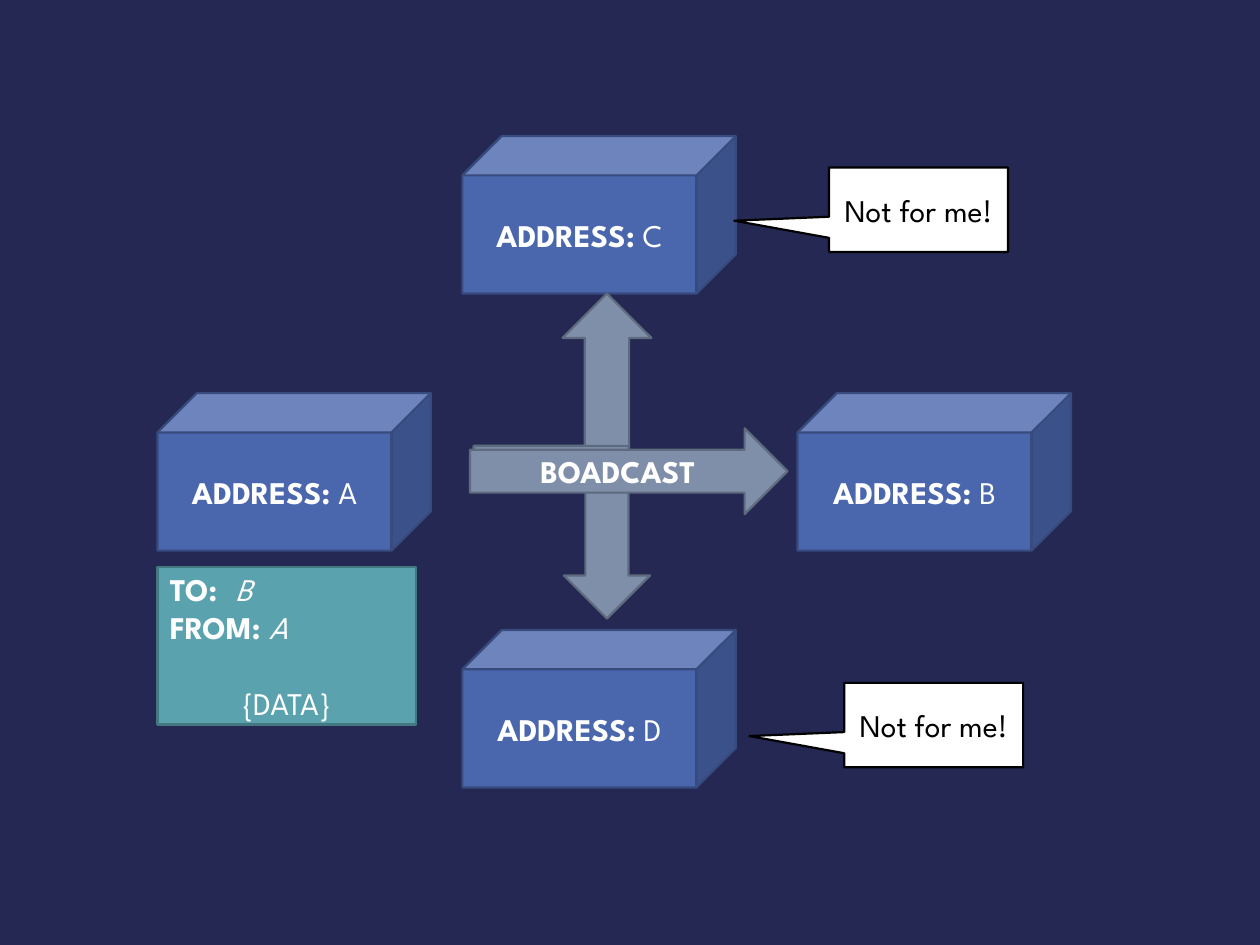
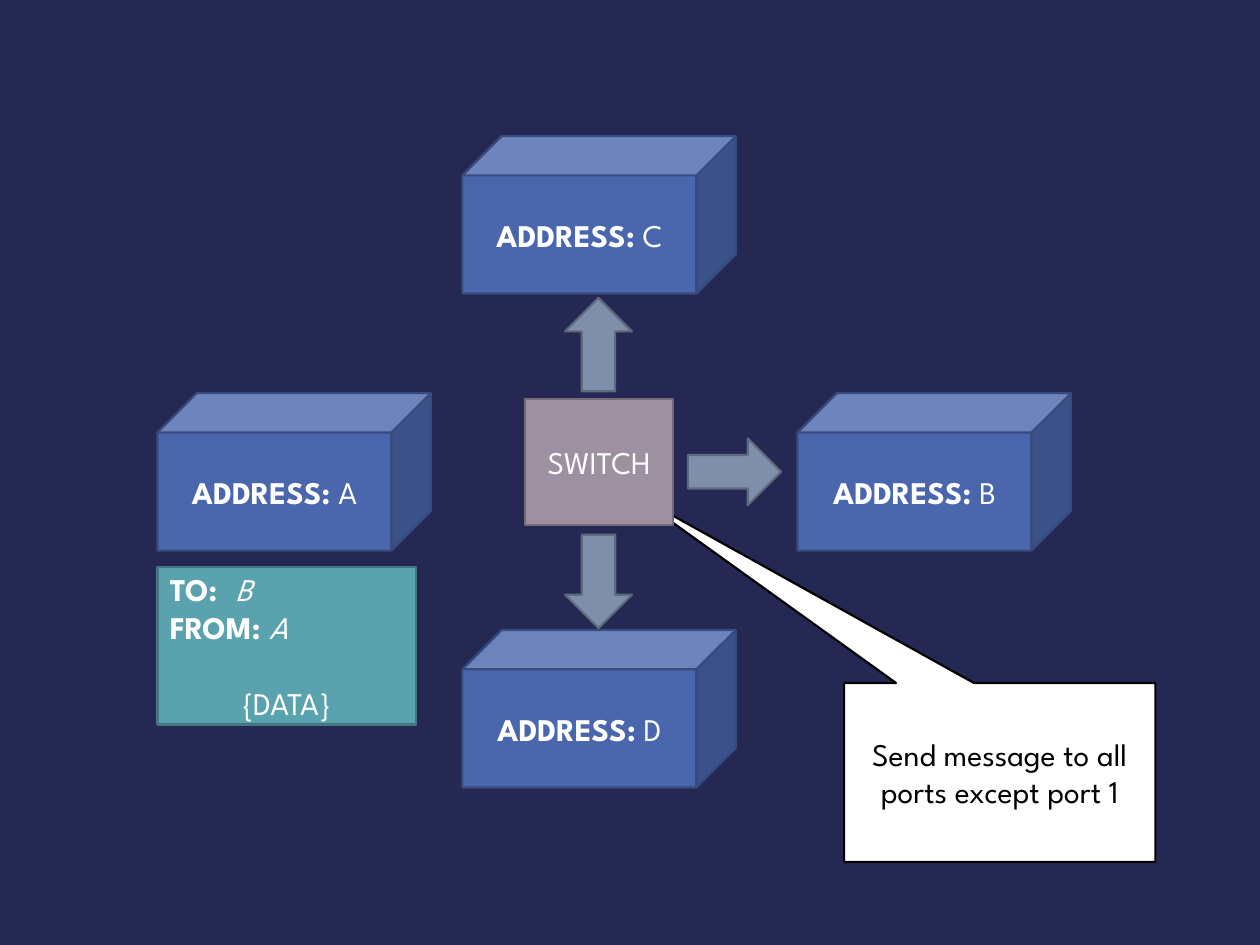
from lxml import etree
from pptx import Presentation
from pptx.dml.color import RGBColor
from pptx.enum.shapes import MSO_SHAPE as SHAPE
from pptx.enum.text import MSO_ANCHOR as ANCHOR, PP_ALIGN as ALIGN
from pptx.oxml.ns import qn
from pptx.util import Inches, Pt

FONT = "League Spartan"
COLORS = {
    "background": "242852",
    "white": "FFFFFF",
    "black": "000000",
    "host": "4A66AC", "host_edge": "374B7F",
    "arrow": "7F8FA9", "arrow_edge": "5E6A7D",
    "message": "5AA2AE", "message_edge": "437881",
    "switch": "9D90A0", "switch_edge": "746B76",
}
HOSTS = {"A": (1.25, 3.12), "B": (6.33, 3.12), "D": (3.67, 5), "C": (3.67, 1.08)}


def rgb(name):
    return RGBColor.from_string(COLORS[name])


class NetworkDeck:
    """Draws the parts of a small network on the current slide."""

    def __init__(self):
        self.deck = Presentation()
        self.deck.slide_width = Inches(10)
        self.deck.slide_height = Inches(7.5)
        self.slide = None

    def new_slide(self):
        self.slide = self.deck.slides.add_slide(self.deck.slide_layouts[6])
        fill = self.slide.background.fill
        fill.solid()
        fill.fore_color.rgb = rgb("background")

    def block(self, kind, box, fill, edge):
        shape = self.slide.shapes.add_shape(kind, *map(Inches, box))
        shape.shadow.inherit = False
        shape.fill.solid()
        shape.fill.fore_color.rgb = rgb(fill)
        shape.line.color.rgb = rgb(edge)
        shape.line.width = Pt(1.25)
        shape.text_frame.word_wrap = True
        shape.text_frame.vertical_anchor = ANCHOR.MIDDLE
        return shape

    def add_runs(self, paragraph, *runs, align=ALIGN.CENTER, color="white"):
        """Fill a paragraph with runs given as (text, bold, italic)."""
        paragraph.alignment = align
        font = paragraph.font
        font.name, font.size = FONT, Pt(18)
        font.color.rgb = rgb(color)
        for text, bold, italic in runs:
            run = paragraph.add_run()
            run.text = text
            run.font.bold, run.font.italic = bold, italic

    def label(self, shape, text, bold=False, color="white"):
        self.add_runs(shape.text_frame.paragraphs[0], (text, bold, False), color=color)

    def host(self, address, left, top):
        cube = self.block(SHAPE.CUBE, (left, top, 2.17, 1.25), "host", "host_edge")
        self.add_runs(cube.text_frame.paragraphs[0],
                      ("ADDRESS:", True, False), (f" {address}", False, False))

    def hosts(self):
        for address, corner in HOSTS.items():
            self.host(address, *corner)

    def message(self):
        packet = self.block(SHAPE.RECTANGLE, (1.25, 4.5, 2.05, 1.25),
                            "message", "message_edge")
        frame = packet.text_frame
        to, sender, data = frame.paragraphs[0], frame.add_paragraph(), frame.add_paragraph()
        tabs = etree.SubElement(to._p.get_or_add_pPr(), qn("a:tabLst"))
        etree.SubElement(tabs, qn("a:tab"), pos=str(Inches(0.52)), algn="l")
        self.add_runs(to, ("TO:\t", True, False), ("B", False, True), align=ALIGN.LEFT)
        self.add_runs(sender, ("FROM: ", True, False), ("A", False, True), align=ALIGN.LEFT)
        data.space_before = Pt(21.7)
        self.add_runs(data, ("{DATA}", False, False))

    def arrow(self, box, kind=SHAPE.RIGHT_ARROW, rotation=0, flip=False):
        arrow = self.block(kind, box, "arrow", "arrow_edge")
        arrow.rotation = rotation
        if flip:
            arrow._element.spPr.find(qn("a:xfrm")).set("flipV", "1")
        return arrow

    def callout(self, text, box, tip):
        """Speech box whose tip is given as a share of its size, from its centre."""
        speech = self.block(SHAPE.RECTANGULAR_CALLOUT, box, "white", "black")
        speech.adjustments[0], speech.adjustments[1] = tip
        self.label(speech, text, color="black")

    def switch(self):
        switch = self.block(SHAPE.RECTANGLE, (4.17, 3.17, 1.17, 1),
                            "switch", "switch_edge")
        self.label(switch, "SWITCH")


def broadcast_slide(net):
    net.new_slide()
    net.hosts()
    net.arrow((3.76, 2.33, 1.41, 1.56), SHAPE.BENT_UP_ARROW)
    net.arrow((3.76, 3.54, 1.4, 1.37), SHAPE.BENT_UP_ARROW, flip=True)
    net.label(net.arrow((3.73, 3.4, 2.52, 0.68)), "BOADCAST", bold=True)
    net.message()
    for left, top in ((6.58, 1.33), (6.7, 5.42)):
        net.callout("Not for me!", (left, top, 1.42, 0.67), (-1.03, 0.13))


def switch_slide(net):
    net.new_slide()
    net.hosts()
    net.message()
    net.callout("Send message to all ports except port 1",
                (6.7, 5.42, 2.47, 1.42), (-1.19, -1.57))
    net.switch()
    for left, top, rotation in ((5.46, 3.48, 0), (4.38, 2.47, 270), (4.38, 4.35, 90)):
        net.arrow((left, top, 0.74, 0.53), rotation=rotation)


def main():
    net = NetworkDeck()
    broadcast_slide(net)
    switch_slide(net)
    net.deck.save("out.pptx")


if __name__ == "__main__":
    main()
